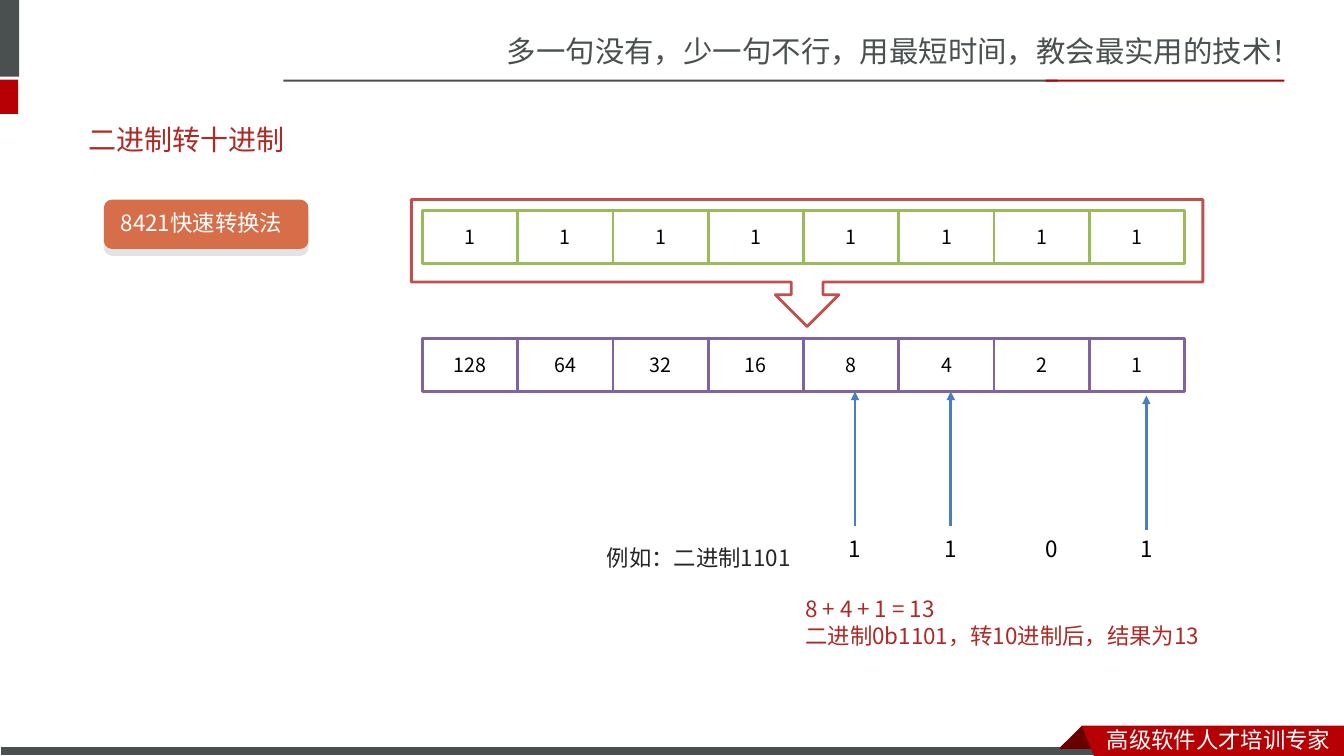
"""Build a slide that explains converting binary to decimal with the 8421 method."""
from lxml.etree import SubElement
from pptx import Presentation
from pptx.dml.color import RGBColor
from pptx.enum.shapes import MSO_CONNECTOR, MSO_SHAPE
from pptx.enum.text import MSO_ANCHOR, PP_ALIGN
from pptx.oxml.ns import qn
from pptx.util import Inches, Pt

GRAY = RGBColor(0x49, 0x50, 0x4F)
RED = RGBColor(0xB6, 0x00, 0x04)
DARK_RED = RGBColor(0x68, 0x00, 0x00)
TEXT_RED = RGBColor(0xAD, 0x2A, 0x26)
CALLOUT_RED = RGBColor(0xC0, 0x50, 0x4D)
ORANGE = RGBColor(0xD6, 0x6E, 0x49)
GREEN = RGBColor(0x9B, 0xBB, 0x59)
PURPLE = RGBColor(0x80, 0x64, 0xA2)
BLUE = RGBColor(0x4B, 0x7E, 0xBC)
INK = RGBColor(0x26, 0x26, 0x26)
BLACK = RGBColor(0x00, 0x00, 0x00)
WHITE = RGBColor(0xFF, 0xFF, 0xFF)

SC, JP = "Noto Sans CJK SC", "Noto Sans CJK JP"
WIDTH, HEIGHT = 13.33, 7.5
CELL_LEFT, CELL_PITCH, CELL_HEIGHT = 4.19, 0.945, 0.525
BIT_TOP, WEIGHT_TOP, DIGIT_TOP = 2.09, 3.36, 5.22

prs = Presentation()
prs.slide_width, prs.slide_height = Inches(WIDTH), Inches(HEIGHT)
s = prs.slides.add_slide(prs.slide_layouts[6])


def add_text(text, box=None, sp=None, size=16, font=JP, color=BLACK,
             align=PP_ALIGN.LEFT, anchor=MSO_ANCHOR.TOP, spacing=None):
    sp = sp or s.shapes.add_textbox(*map(Inches, box))
    tf = sp.text_frame
    tf.word_wrap = True
    tf.vertical_anchor = anchor
    for i, line in enumerate(text.split("\n")):
        p = tf.add_paragraph() if i else tf.paragraphs[0]
        p.alignment = align
        if spacing:
            p.line_spacing = spacing
        r = p.add_run()
        r.text = line
        r.font.size, r.font.name, r.font.color.rgb = Pt(size), font, color
        SubElement(r.font._element, qn("a:ea")).set("typeface", font)


def add_box(box, kind=MSO_SHAPE.RECTANGLE, fill=None, line=None, weight=2):
    sp = s.shapes.add_shape(kind, *map(Inches, box))
    if fill is None:
        sp.fill.background()
    else:
        sp.fill.solid()
        sp.fill.fore_color.rgb = fill
    if line is None:
        sp.line.fill.background()
    else:
        sp.line.color.rgb, sp.line.width = line, Pt(weight)
    sp.shadow.inherit = False
    return sp


add_text("多一句没有，少一句不行，用最短时间，教会最实用的技术！",
         (4.93, 0.28, WIDTH - 4.93, 0.47), size=21, font=SC, color=GRAY)
for box, color in [((0, 0, 0.19, 0.76), GRAY), ((0, 0.79, 0.18, 0.34), RED),
                   ((2.81, 0.79, 7.68, 0.02), GRAY), ((10.37, 0.79, 2.37, 0.02), RED)]:
    add_box(box, fill=color)

fold = [(10.73, 7.2), (10.95, 7.42), (10.94, 7.43), (10.52, 7.43), (10.51, 7.42)]
banner = [(10.73, 7.2), (WIDTH, 7.2), (WIDTH, HEIGHT), (10.85, HEIGHT)]
add_box((0, 7.41, 10.99, HEIGHT - 7.41), fill=GRAY, line=WHITE, weight=0.75)
for points, color in [(fold, DARK_RED), (banner, RED)]:
    start, *rest = [(Inches(x), Inches(y)) for x, y in points]
    builder = s.shapes.build_freeform(*start)
    builder.add_line_segments(rest, close=True)
    sp = builder.convert_to_shape()
    sp.fill.solid()
    sp.fill.fore_color.rgb = color
    sp.line.fill.background()
    sp.shadow.inherit = False
add_text("高级软件人才培训专家", (10.88, 7.15, 2.45, 0.35), font=SC, color=WHITE)

add_text("二进制转十进制", (0.78, 1.1, 2.63, 0.57), size=20, font="Roboto",
         color=TEXT_RED, anchor=MSO_ANCHOR.MIDDLE)

pill = add_box((1.03, 1.98, 2.03, 0.49), MSO_SHAPE.ROUNDED_RECTANGLE, ORANGE)
effects = pill._element.spPr.find(qn("a:effectLst"))
shadow = SubElement(effects, qn("a:outerShdw"), blurRad="0", dist=str(Pt(5)),
                    dir="5400000", algn="t", rotWithShape="0")
tint = SubElement(shadow, qn("a:srgbClr"), val="000000")
SubElement(tint, qn("a:alpha"), val="11000")
add_text("8421快速转换法", (1.1, 2.03, 1.96, 0.37), color=WHITE)

bits = ["1"] * 8
weights = [str(2 ** n) for n in range(7, -1, -1)]
for top, values, color in [(BIT_TOP, bits, GREEN), (WEIGHT_TOP, weights, PURPLE)]:
    for col, value in enumerate(values):
        sp = add_box((CELL_LEFT + col * CELL_PITCH, top, CELL_PITCH, CELL_HEIGHT),
                     fill=WHITE, line=color)
        add_text(value, sp=sp, size=14, align=PP_ALIGN.CENTER, anchor=MSO_ANCHOR.MIDDLE)
add_box((4.08, 1.98, 7.85, 1.26), MSO_SHAPE.DOWN_ARROW_CALLOUT, line=CALLOUT_RED)

add_text("例如：二进制1101", (5.92, DIGIT_TOP, 2.21, 0.47), color=INK, spacing=1.5)
for digit, left, drop in [("1", 8.01, 0), ("1", 8.96, 0), ("0", 9.96, 0), ("1", 10.9, 0.04)]:
    sp = add_box((left, DIGIT_TOP, 0.94, 0.44), fill=WHITE)
    add_text(digit, sp=sp, align=PP_ALIGN.CENTER, anchor=MSO_ANCHOR.MIDDLE)
    if digit == "1":
        x = Inches(left + 0.47)
        arrow = s.shapes.add_connector(
            MSO_CONNECTOR.STRAIGHT, x, Inches(DIGIT_TOP + drop),
            x, Inches(WEIGHT_TOP + CELL_HEIGHT + drop))
        arrow.line.color.rgb, arrow.line.width = BLUE, Pt(2)
        SubElement(arrow.line._get_or_add_ln(), qn("a:tailEnd"), type="triangle")
        SubElement(arrow._element.spPr, qn("a:effectLst"))

add_text("8 + 4 + 1 = 13\n二进制0b1101，转10进制后，结果为13",
         (7.89, 5.86, 4.16, 0.64), color=TEXT_RED)

prs.save("out.pptx")
